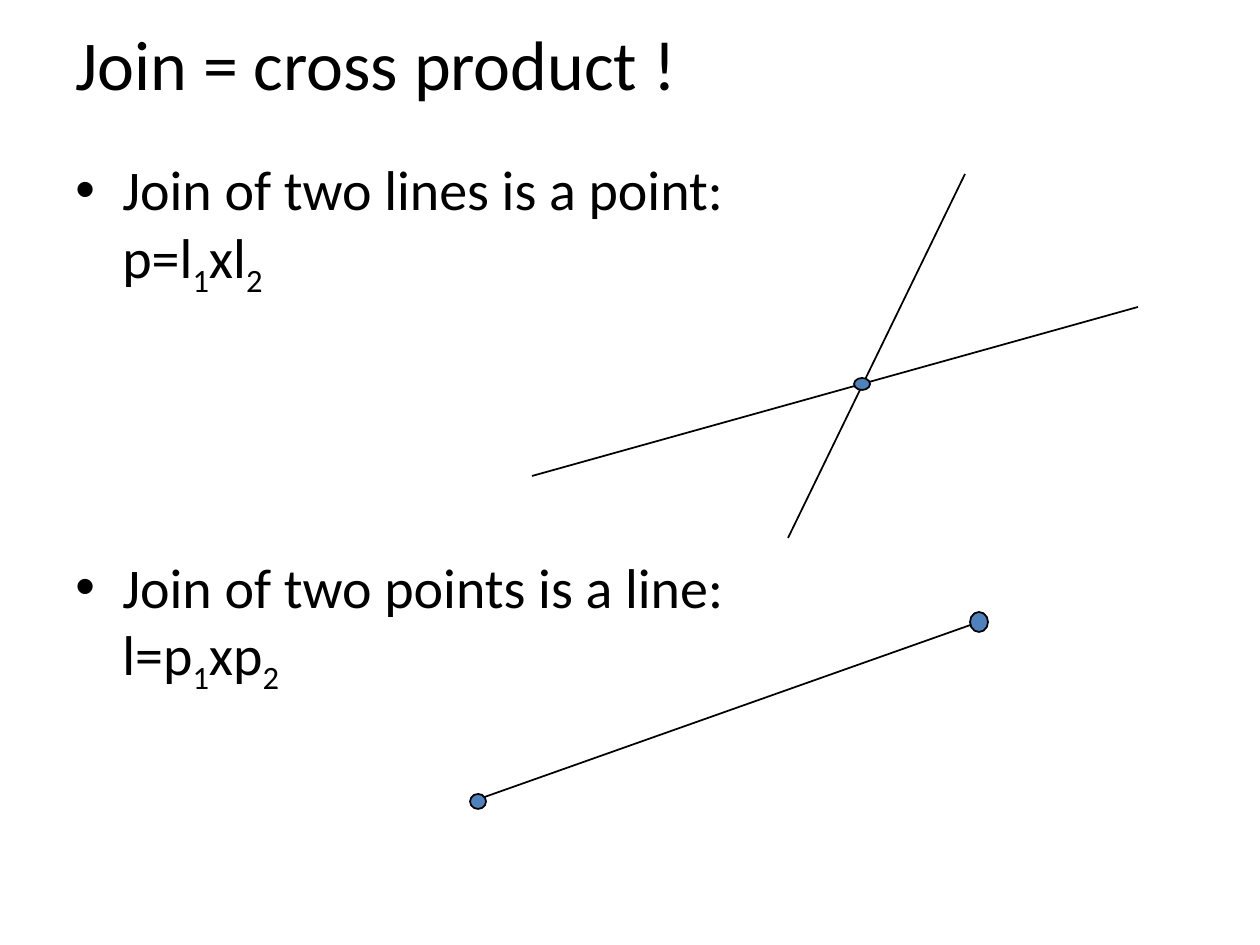
from dataclasses import dataclass

from lxml import etree
from pptx import Presentation, util as u
from pptx.dml.color import RGBColor
from pptx.enum import shapes, text
from pptx.oxml import ns
from pptx.slide import Slide
from pptx.text.text import TextFrame

EMU_PER_PX = 914400 / 126
SUBSCRIPT = "-25000"


@dataclass(frozen=True)
class Theme:
    font: str = "Calibri"
    ink: RGBColor = RGBColor(0, 0, 0)
    point_fill: RGBColor = RGBColor(0x4F, 0x81, 0xBD)
    title_size: int = 40
    body_size: int = 32
    line_width: int = 1


@dataclass(frozen=True)
class Line:
    x1: int
    y1: int
    x2: int
    y2: int


@dataclass(frozen=True)
class Point:
    left: int
    top: int
    width: int
    height: int


@dataclass(frozen=True)
class Rule:
    """A statement with its formula: result = operand 1 x operand 2."""
    statement: str
    result: str
    operand: str


THEME = Theme()
LINES = [
    Line(479, 799, 979, 622),
    Line(532, 476, 1138, 307),
    Line(965, 174, 788, 538),
]
POINTS = [
    Point(970, 612, 18, 20),
    Point(470, 794, 16, 15),
    Point(854, 378, 16, 12),
]
RULES = [
    Rule("Join of two lines is a point:", "p", "l"),
    Rule("Join of two points is a line:", "l", "p"),
]


def px(length: int) -> u.Emu:
    return u.Emu(round(length * EMU_PER_PX))


def add_paragraph(frame: TextFrame, *lines: str, size: int, first: bool = True,
                  space_before: int = 0, bullet: str = "", indent: int = 0) -> None:
    """Write lines of one paragraph; a digit in a line is set as a subscript."""
    paragraph = frame.paragraphs[0] if first else frame.add_paragraph()
    if bullet:
        properties = paragraph._p.get_or_add_pPr()
        properties.set("marL", str(px(indent)))
        properties.set("indent", str(-px(indent)))
        etree.SubElement(properties, ns.qn("a:buFont")).set("typeface", "Arial")
        etree.SubElement(properties, ns.qn("a:buChar")).set("char", bullet)
    paragraph.alignment = text.PP_ALIGN.LEFT
    paragraph.space_before = u.Pt(space_before)
    for number, line in enumerate(lines):
        if number:
            paragraph.add_line_break()
        start = 0
        for end in range(1, len(line) + 1):
            if end < len(line) and line[end].isdigit() == line[start].isdigit():
                continue
            run = paragraph.add_run()
            run.text = line[start:end]
            run.font.name = THEME.font
            run.font.size = u.Pt(size)
            run.font.color.rgb = THEME.ink
            if run.text.isdigit():
                run._r.get_or_add_rPr().set("baseline", SUBSCRIPT)
            start = end


def add_title(slide: Slide, title: str) -> None:
    shape = slide.shapes.title
    shape.left, shape.top, shape.width, shape.height = px(63), px(0), px(1134), px(126)
    shape.text_frame.vertical_anchor = text.MSO_ANCHOR.MIDDLE
    add_paragraph(shape.text_frame, title, size=THEME.title_size)


def add_rules(slide: Slide, rules: list[Rule]) -> None:
    frame = slide.shapes.add_textbox(px(63), px(136), px(1134), px(708)).text_frame
    frame.word_wrap = True
    frame.margin_top = px(19)
    for number, rule in enumerate(rules):
        formula = f"{rule.result}={rule.operand}1x{rule.operand}2"
        add_paragraph(frame, rule.statement, formula, size=THEME.body_size,
                      first=number == 0, space_before=145 if number else 0,
                      bullet="•", indent=47)


def add_line(slide: Slide, line: Line) -> None:
    connector = slide.shapes.add_connector(
        shapes.MSO_CONNECTOR.STRAIGHT, px(line.x1), px(line.y1), px(line.x2), px(line.y2))
    connector.line.color.rgb = THEME.ink
    connector.line.width = u.Pt(THEME.line_width)
    etree.SubElement(connector._element.spPr, ns.qn("a:effectLst"))


def add_point(slide: Slide, point: Point) -> None:
    shape = slide.shapes.add_shape(
        shapes.MSO_SHAPE.OVAL, px(point.left), px(point.top), px(point.width), px(point.height))
    shape.shadow.inherit = False
    shape.fill.solid()
    shape.fill.fore_color.rgb = THEME.point_fill
    shape.line.color.rgb = THEME.ink
    shape.line.width = u.Pt(THEME.line_width)


def main() -> None:
    presentation = Presentation()
    presentation.slide_width, presentation.slide_height = px(1260), px(945)
    slide = presentation.slides.add_slide(presentation.slide_layouts.get_by_name("Title Only"))
    add_title(slide, "Join = cross product !")
    add_rules(slide, RULES)
    for line in LINES:
        add_line(slide, line)
    for point in POINTS:
        add_point(slide, point)
    presentation.save("out.pptx")


if __name__ == "__main__":
    main()
